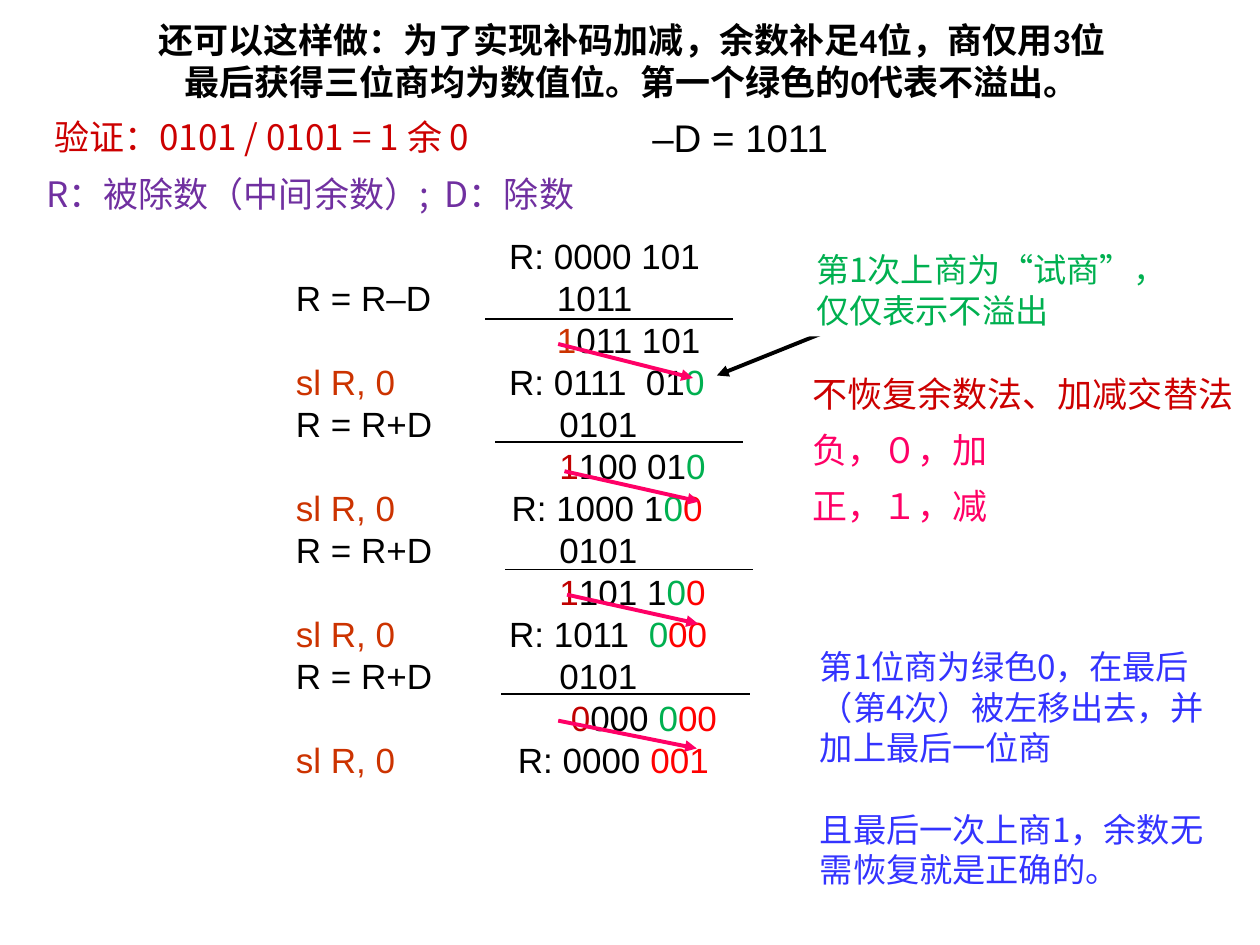
from lxml import etree
from pptx import Presentation
from pptx.dml.color import RGBColor
from pptx.enum.shapes import MSO_CONNECTOR, MSO_SHAPE
from pptx.enum.text import MSO_ANCHOR, MSO_AUTO_SIZE, PP_ALIGN
from pptx.oxml.ns import qn
from pptx.util import Inches, Pt

LINE = MSO_CONNECTOR.STRAIGHT
RECT = MSO_SHAPE.RECTANGLE
LEFT, MID = PP_ALIGN.LEFT, PP_ALIGN.CENTER
TOP, CORE = MSO_ANCHOR.TOP, MSO_ANCHOR.MIDDLE
FIXED = MSO_AUTO_SIZE.NONE

THEME = {
    "black": "000000", "white": "FFFFFF", "rust": "CC3300",
    "green": "00B050", "wine": "C00000", "red": "FF0000",
    "crimson": "CC0000", "pink": "FF0066", "blue": "3333FF",
    "purple": "7030A0",
    "han": "Noto Sans CJK SC", "sans": "Arial", "head": "Calibri",
    "main": 20, "note": 19, "sign": 22,
}

# Grid: 100 columns by 75 rows on a 10 by 7.5 inch slide
CELL = Inches(0.1)
deck = Presentation()
deck.slide_width, deck.slide_height = 100 * CELL, 75 * CELL
slide = deck.slides.add_slide(deck.slide_layouts[1])
shapes = slide.shapes


def write(para, text, color="black", font="han", size="main", bold=False,
          pitch=24, before=0, align=LEFT):
    """Add one run, with line breaks at each newline."""
    para.alignment = align
    para.line_spacing, para.space_before = Pt(pitch), Pt(before)
    for num, part in enumerate(text.split("\n")):
        if num:
            para.add_line_break()
        run = para.add_run()
        run.text = part
        run.font.name = THEME[font]
        run.font.size, run.font.bold = Pt(THEME[size]), bold
        run.font.color.rgb = RGBColor.from_string(THEME[color])
        east = etree.SubElement(run.font._element, qn("a:ea"))
        east.set("typeface", THEME["han"])


def draw(start, end, color="black", width=1, arrow=False):
    """Draw a line between two grid points."""
    ends = [int(n * CELL) for n in (*start, *end)]
    line = shapes.add_connector(LINE, *ends)
    line.line.color.rgb = RGBColor.from_string(THEME[color])
    line.line.width = Pt(width)
    if arrow:
        tip = etree.SubElement(line.line._get_or_add_ln(), qn("a:tailEnd"))
        tip.set("type", "triangle")
    etree.SubElement(line._element.spPr, qn("a:effectLst"))


# Title
title = shapes.title
title.left, title.top, title.width, title.height = [
    int(n * CELL) for n in (8.8, 2.2, 82.7, 5.2)]
frame = title.text_frame
frame.auto_size, frame.word_wrap = FIXED, False
frame.vertical_anchor = CORE
write(frame.paragraphs[0],
      "还可以这样做：为了实现补码加减，余数补足4位，商仅用3位\n"
      "最后获得三位商均为数值位。第一个绿色的0代表不溢出。",
      font="head", bold=True, align=MID)

# Figures of the division: indent in columns, coloured parts
REST, SUM = 0.4, 4.4
FIGURES = [
    (REST, [("R: 0000 101", "black")]),
    (4.2, [("1011", "black")]),
    (4.2, [("1", "rust"), ("011 101", "black")]),
    (REST, [("R: 0111  01", "black"), ("0", "green")]),
    (SUM, [("0101", "black")]),
    (SUM, [("1", "wine"), ("100 01", "black"), ("0", "green")]),
    (0.6, [("R: 1000 1", "black"), ("0", "green"), ("0", "red")]),
    (SUM, [("0101", "black")]),
    (SUM, [("1", "wine"), ("101 1", "black"), ("0", "green"), ("0", "red")]),
    (REST, [("R: 1011  ", "black"), ("0", "green"), ("00", "red")]),
    (SUM, [("0101", "black")]),
    (5.3, [("0", "wine"), ("000 ", "black"), ("0", "green"), ("00", "red")]),
    (1.1, [("R: 0000 ", "black"), ("001", "red")]),
]
body = slide.placeholders[1]
body.left, body.top, body.width, body.height = [
    int(n * CELL) for n in (39, 18.1, 24, 45)]
frame = body.text_frame
frame.auto_size, frame.word_wrap = FIXED, True
for num, (col, parts) in enumerate(FIGURES):
    para = frame.add_paragraph() if num else frame.paragraphs[0]
    for text, color in parts:
        write(para, text, color=color, font="sans")
    props = para._p.get_or_add_pPr()
    props.set("marL", str(int(col * CELL)))
    props.set("indent", "0")
    etree.SubElement(props, qn("a:buNone"))

# Operations: each shift leaves one line free above it for the sum
SHIFT = "sl R, 0"
steps = ["R = R–D"] + [SHIFT, "R = R+D"] * 3 + [SHIFT]
box = shapes.add_textbox(*[int(n * CELL) for n in (22.5, 21.43, 15, 41.7)])
frame = box.text_frame
frame.word_wrap = True
for num, step in enumerate(steps):
    para = frame.add_paragraph() if num else frame.paragraphs[0]
    shift = step == SHIFT
    write(para, step, color="rust" if shift else "black", font="sans",
          before=24 if shift else 0)

# Shift arrows
for start, end in [((44.3, 27.3), (55, 30)), ((44.8, 37.4), (55.5, 39.8)),
                   ((45, 47.2), (55.4, 49.5)), ((44.3, 57.2), (55.3, 59.4))]:
    draw(start, end, color="pink", width=2.25, arrow=True)

# Pointer to the trial digit, partly under its note
draw((73.6, 23.1), (56.9, 29.8), width=2.25, arrow=True)

# Notes: place, fill, paragraphs, format
NOTES = [
    ((3.6, 8.9, 67.7, 3.9), None, [("验证：0101 / 0101 = 1 余 0", "crimson")],
     {}),
    ((2.7, 13.2, 56, 4.4), None,
     [("R：被除数（中间余数）;  D：除数", "purple")], {}),
    ((50.8, 8.6, 16.7, 4.7), None, [("–D = 1011", "black")],
     {"font": "sans", "size": "sign", "pitch": 26}),
    ((63.5, 28, 36.5, 14.6), None,
     [("不恢复余数法、加减交替法", "crimson"), ("负，０，加", "pink"),
      ("正，１，减", "pink")], {"pitch": 32}),
    ((64.1, 50.8, 33.3, 20.4), None,
     [("第1位商为绿色0，在最后（第4次）被左移出去，并加上最后一位商", "blue"),
      ("且最后一次上商1，余数无需恢复就是正确的。", "blue")],
     {"size": "note", "pitch": 23, "before": 24}),
    ((63.8, 19.3, 30.7, 7.4), "white",
     [("第1次上商为“试商”，仅仅表示不溢出", "green")],
     {"size": "note", "pitch": 23}),
]
for place, fill, lines, form in NOTES:
    spot = [int(n * CELL) for n in place]
    if fill:
        note = shapes.add_shape(RECT, *spot)
        note.shadow.inherit = False
        note.fill.solid()
        note.fill.fore_color.rgb = RGBColor.from_string(THEME[fill])
        note.line.fill.background()
    else:
        note = shapes.add_textbox(*spot)
    frame = note.text_frame
    frame.word_wrap, frame.vertical_anchor = True, TOP
    if place[3] < 4:
        frame.margin_left = frame.margin_right = Inches(0.07)
        frame.margin_top = frame.margin_bottom = Inches(0.03)
    for num, (text, color) in enumerate(lines):
        para = frame.add_paragraph() if num else frame.paragraphs[0]
        write(para, text, color=color, **form)

# Sum lines
for col, row in [(38.5, 25.3), (39.3, 35.1), (40.1, 45.2), (39.8, 55.1)]:
    draw((col, row), (col + 19.7, row))

deck.save("out.pptx")
